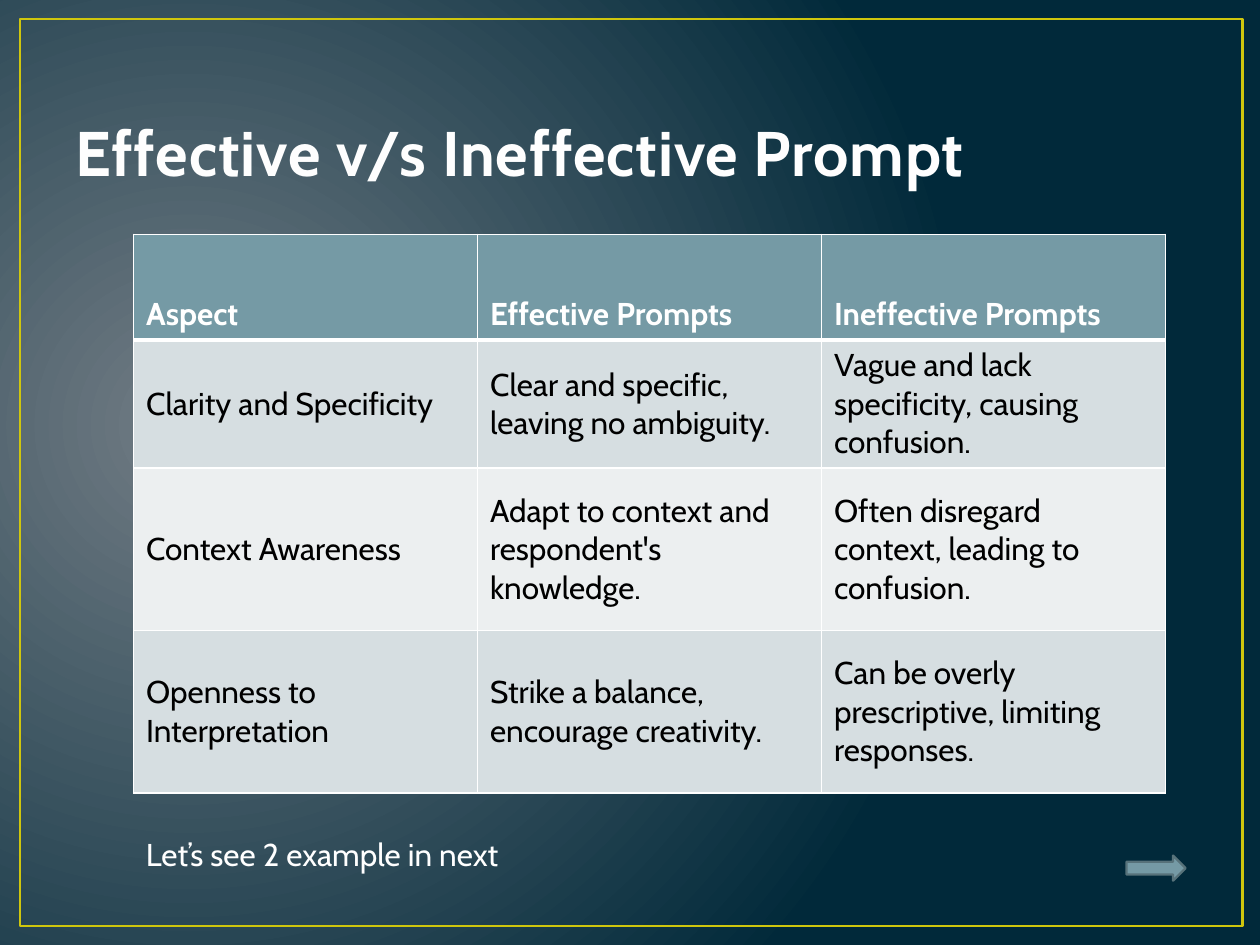
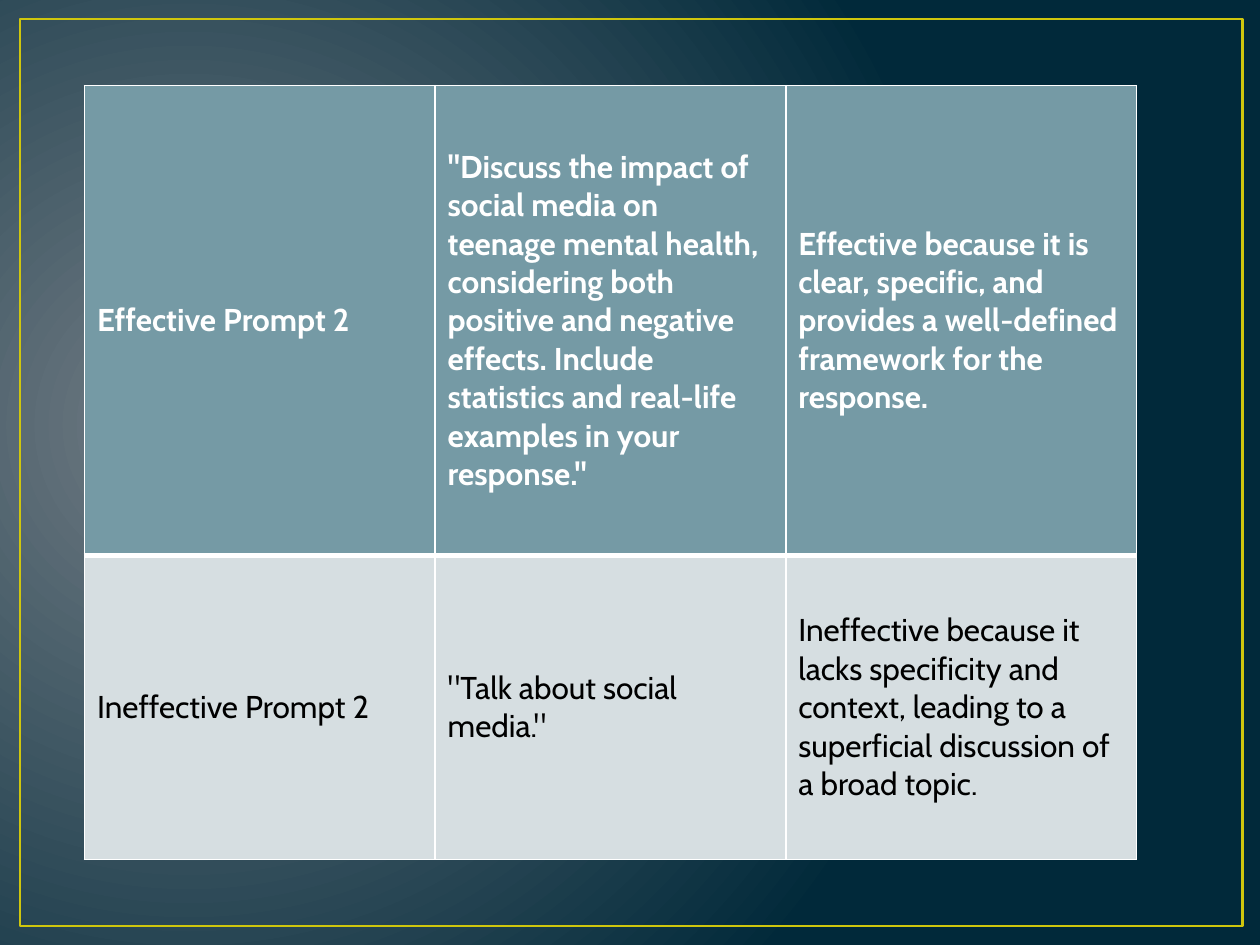
from lxml.etree import SubElement
from pptx import Presentation
from pptx.dml.color import RGBColor
from pptx.enum.shapes import MSO_SHAPE
from pptx.enum.text import MSO_ANCHOR, MSO_AUTO_SIZE, PP_ALIGN
from pptx.oxml import parse_xml
from pptx.oxml.ns import nsdecls, qn
from pptx.util import Inches, Pt

FONT = "Cabin"
COLORS = {
    "glow": "717C84",
    "night": "01293A",
    "frame": "CFC60D",
    "title": "FEFEFE",
    "title_edge": "384F55",
    "white": "FFFFFF",
    "black": "000000",
    "header": "759AA5",
    "band_dark": "D6DEE1",
    "band_light": "ECEFF0",
    "arrow_edge": "57727A",
}
ASPECT_ROWS = [
    ["Aspect", "Effective Prompts", "Ineffective Prompts"],
    ["Clarity and Specificity", "Clear and specific, leaving no ambiguity.",
     "Vague and lack specificity, causing confusion."],
    ["Context Awareness", "Adapt to context and respondent's knowledge.",
     "Often disregard context, leading to confusion."],
    ["Openness to Interpretation", "Strike a balance, encourage creativity.",
     "Can be overly prescriptive, limiting responses."],
]
EXAMPLE_ROWS = [
    ["Effective Prompt 2",
     '"Discuss the impact of social media on teenage mental health, considering both '
     'positive and negative effects. Include statistics and real-life examples in your response."',
     "Effective because it is clear, specific, and provides a well-defined framework for the response."],
    ["Ineffective Prompt 2", '"Talk about social media."',
     "Ineffective because it lacks specificity and context, leading to a superficial "
     "discussion of a broad topic."],
]


def rgb(name):
    return RGBColor.from_string(COLORS[name])


def inches(box):
    return [Inches(length) for length in box]


def write_text(frame, text, size=18, color="white", bold=False, anchor=MSO_ANCHOR.TOP):
    frame.word_wrap = True
    frame.vertical_anchor = anchor
    paragraph = frame.paragraphs[0]
    paragraph.alignment = PP_ALIGN.LEFT
    run = paragraph.add_run()
    run.text = text
    run.font.name = FONT
    run.font.size = Pt(size)
    run.font.bold = bold
    run.font.color.rgb = rgb(color)
    return run


def line_xml(tag, color, points):
    return parse_xml(
        f'<a:{tag} {nsdecls("a")} w="{Pt(points)}"><a:solidFill>'
        f'<a:srgbClr val="{COLORS[color]}"/></a:solidFill></a:{tag}>')


def add_preset(slide, preset, box, line, points, fill=None):
    shape = slide.shapes.add_shape(preset, *inches(box))
    shape.shadow.inherit = False
    if fill:
        shape.fill.solid()
        shape.fill.fore_color.rgb = rgb(fill)
    else:
        shape.fill.background()
    shape.line.color.rgb = rgb(line)
    shape.line.width = Pt(points)
    return shape


def style_master(master, slide):
    fill = master.background.fill
    fill.gradient()
    for stop, color, position in zip(fill.gradient_stops, ("glow", "night"), (0, 1)):
        stop.color.rgb = rgb(color)
        stop.position = position
    gradient = master.element.xpath(".//p:bgPr/a:gradFill")[0]
    gradient.remove(gradient.find(qn("a:lin")))
    radial = SubElement(gradient, qn("a:path"), path="circle")
    SubElement(radial, qn("a:fillToRect"), l="15000", t="50000", r="85000", b="60000")

    frame = add_preset(slide, MSO_SHAPE.RECTANGLE, (0.16, 0.15, 9.7, 7.2), "frame", 1.5)
    frame.element.nvSpPr.cNvPr.set("id", "20")
    master.shapes.element.insert(2, frame.element)


def add_title(slide, text, box):
    title = slide.shapes.title
    title.left, title.top, title.width, title.height = inches(box)
    run = write_text(title.text_frame, text, 36, "title", True, MSO_ANCHOR.BOTTOM)
    title.text_frame.auto_size = MSO_AUTO_SIZE.NONE
    properties = run.font._element
    properties.set("spc", "50")
    properties.insert(0, line_xml("ln", "title_edge", 1.05))


def style_cell(cell, text, row, header_anchor):
    is_header = row == 0
    fill = "header" if is_header else ("band_light", "band_dark")[row % 2]
    write_text(cell.text_frame, text, color="white" if is_header else "black", bold=is_header)
    cell.vertical_anchor = header_anchor if is_header else MSO_ANCHOR.MIDDLE
    cell.fill.solid()
    cell.fill.fore_color.rgb = rgb(fill)
    widths = {"lnL": 1, "lnR": 1, "lnT": 3 if row == 1 else 1, "lnB": 3 if is_header else 1}
    properties = cell._tc.get_or_add_tcPr()
    for index, (tag, points) in enumerate(widths.items()):
        properties.insert(index, line_xml(tag, "white", points))


def add_prompt_table(slide, rows, box, heights, header_anchor):
    table = slide.shapes.add_table(len(rows), len(rows[0]), *inches(box)).table
    for column in table.columns:
        column.width = Inches(box[2] / len(rows[0]))
    for row, (texts, height) in enumerate(zip(rows, heights)):
        table.rows[row].height = Inches(height)
        for column, text in enumerate(texts):
            style_cell(table.cell(row, column), text, row, header_anchor)


def add_next_hint(slide, text, box):
    left, top, width, height = box
    hint = slide.shapes.add_textbox(*inches((left, top, 5.35, height)))
    write_text(hint.text_frame, text)
    hint.text_frame.auto_size = MSO_AUTO_SIZE.SHAPE_TO_FIT_TEXT
    arrow_width = 0.47
    add_preset(slide, MSO_SHAPE.RIGHT_ARROW,
               (left + width - arrow_width, top + 0.21, arrow_width, 0.2),
               "arrow_edge", 1.25, "header")


def build_comparison(slide):
    add_title(slide, "Effective v/s Ineffective Prompt", (0.5, 0.3, 9, 1.25))
    add_prompt_table(slide, ASPECT_ROWS, (1.06, 1.86, 8.19, 4.43),
                     (0.84, 0.89, 1.29, 1.29), MSO_ANCHOR.BOTTOM)
    add_next_hint(slide, "Let’s see 2 example in next", (1.06, 6.58, 8.35, 0.4))


def build_example(slide):
    add_prompt_table(slide, EXAMPLE_ROWS, (0.67, 0.68, 8.35, 6.14),
                     (3.73, 2.41), MSO_ANCHOR.MIDDLE)


def main():
    presentation = Presentation()
    presentation.slide_width, presentation.slide_height = Inches(10), Inches(7.5)
    title_only, blank = presentation.slide_layouts[5], presentation.slide_layouts[6]
    comparison = presentation.slides.add_slide(title_only)
    style_master(presentation.slide_master, comparison)
    build_comparison(comparison)
    build_example(presentation.slides.add_slide(blank))
    presentation.save("out.pptx")


if __name__ == "__main__":
    main()
